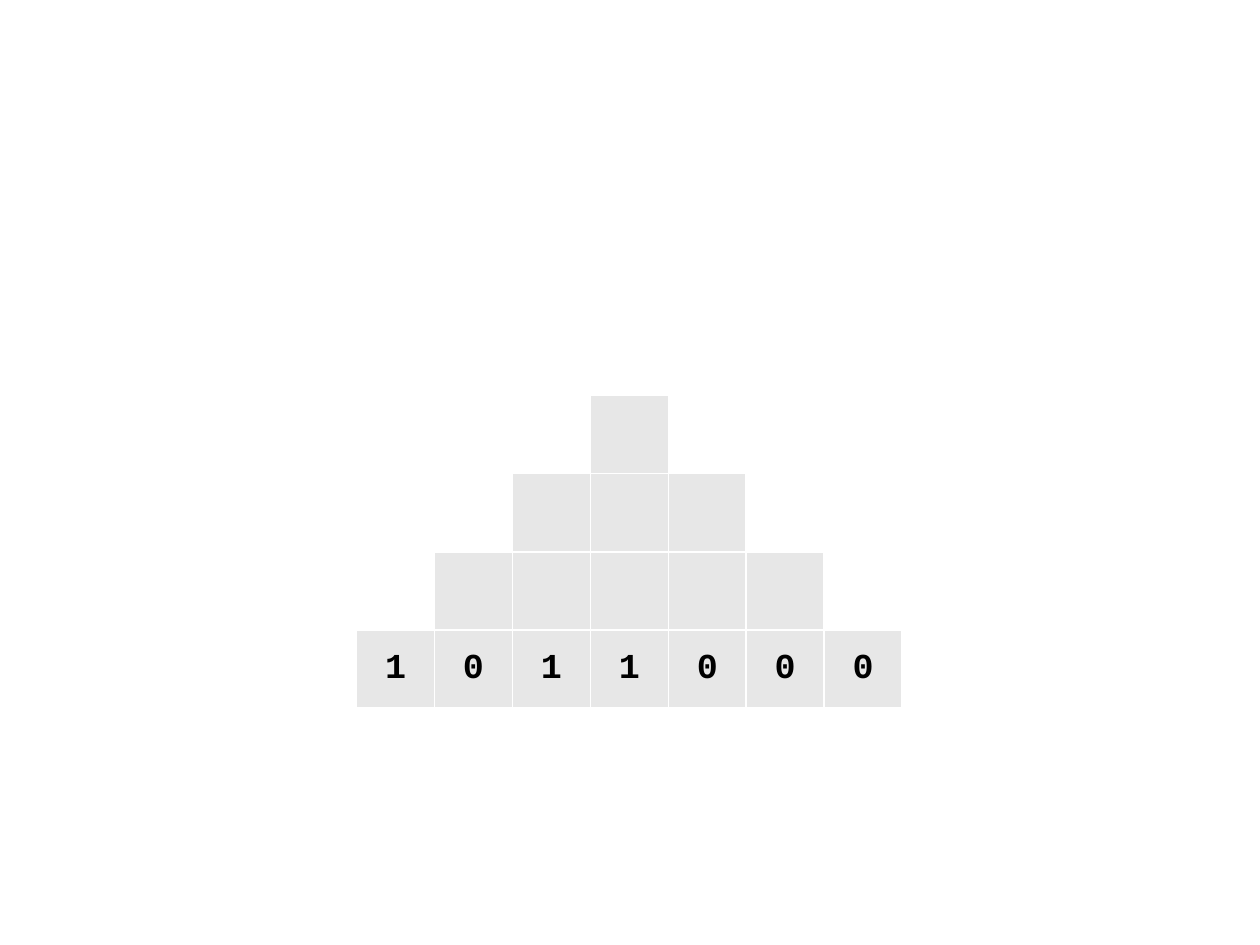
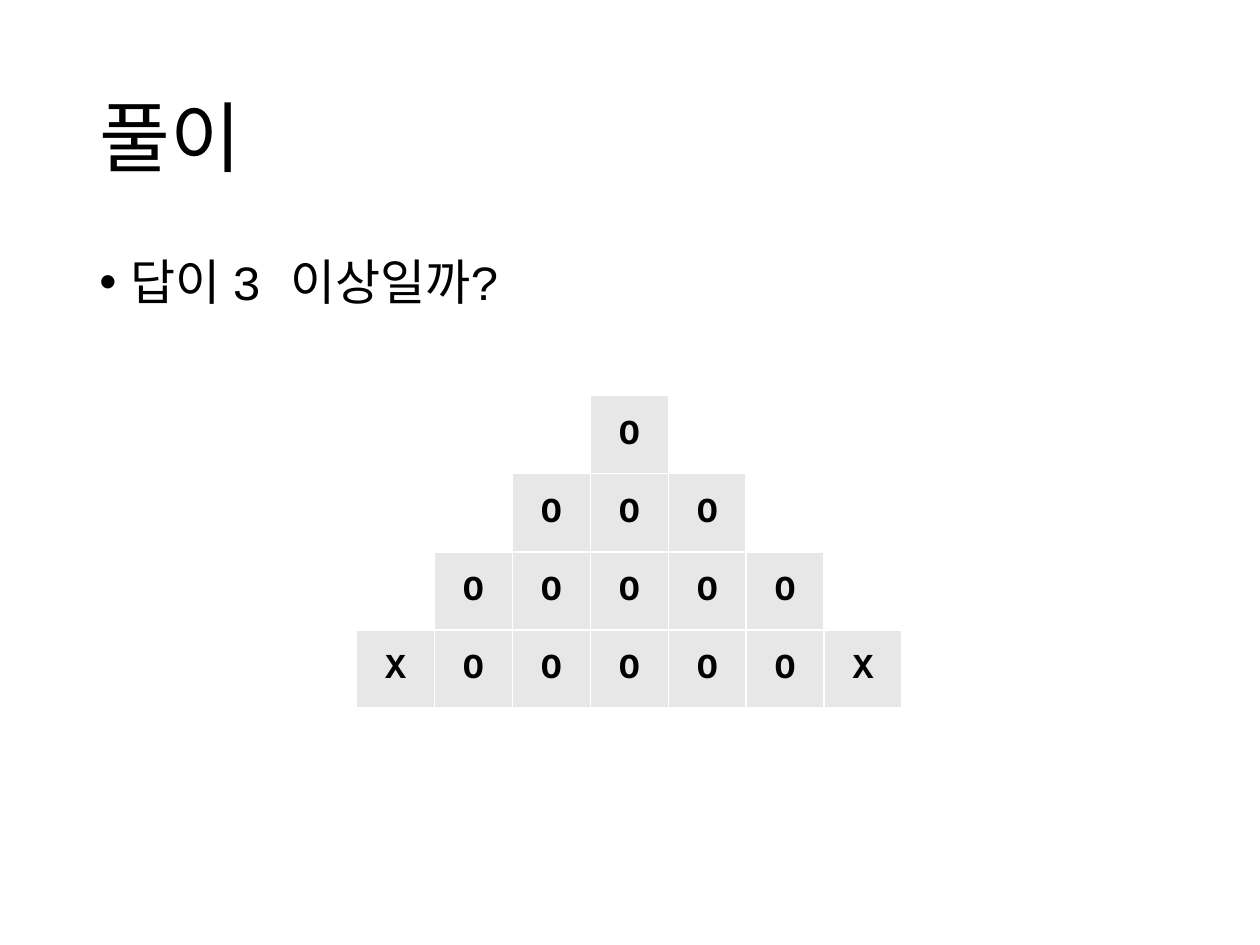
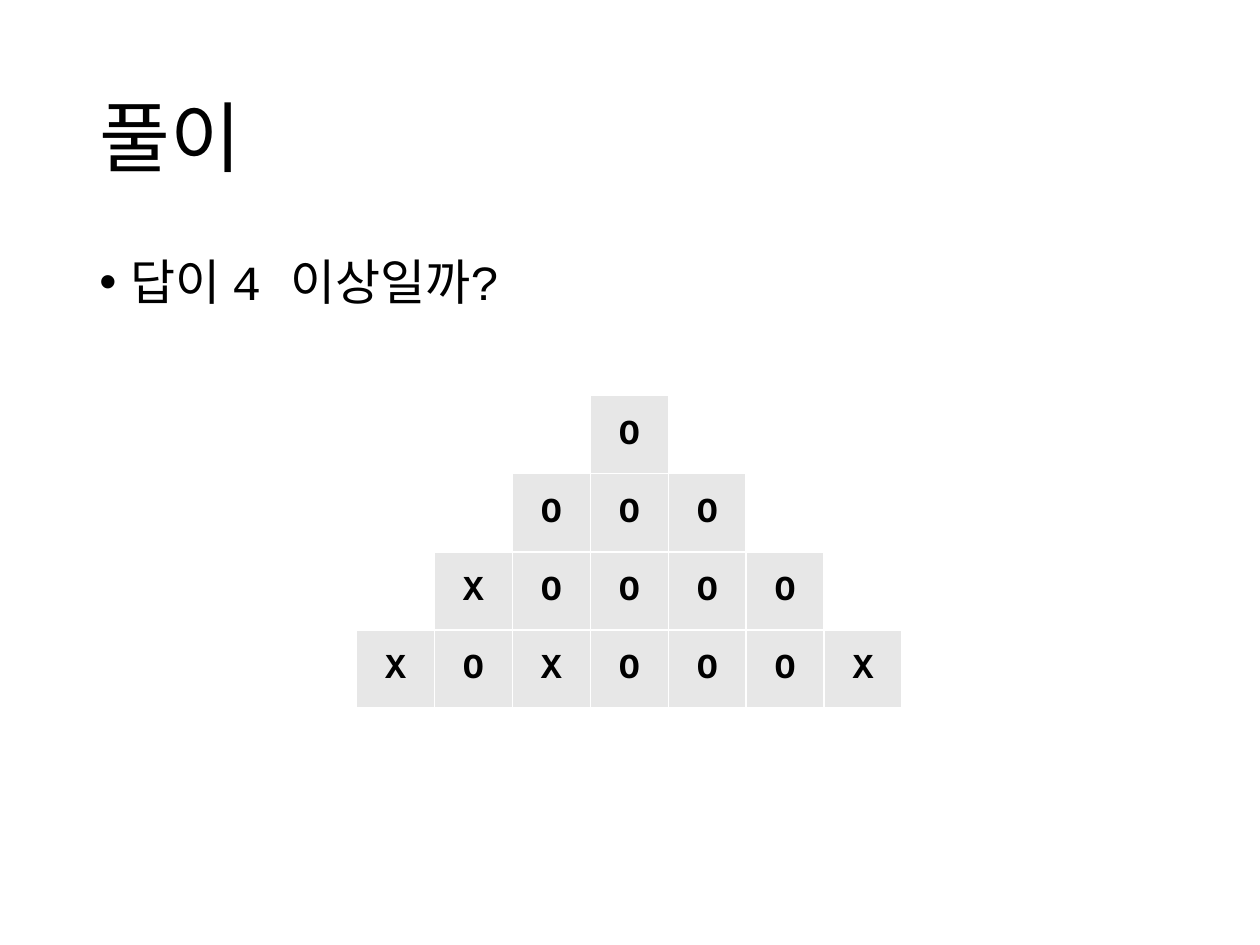
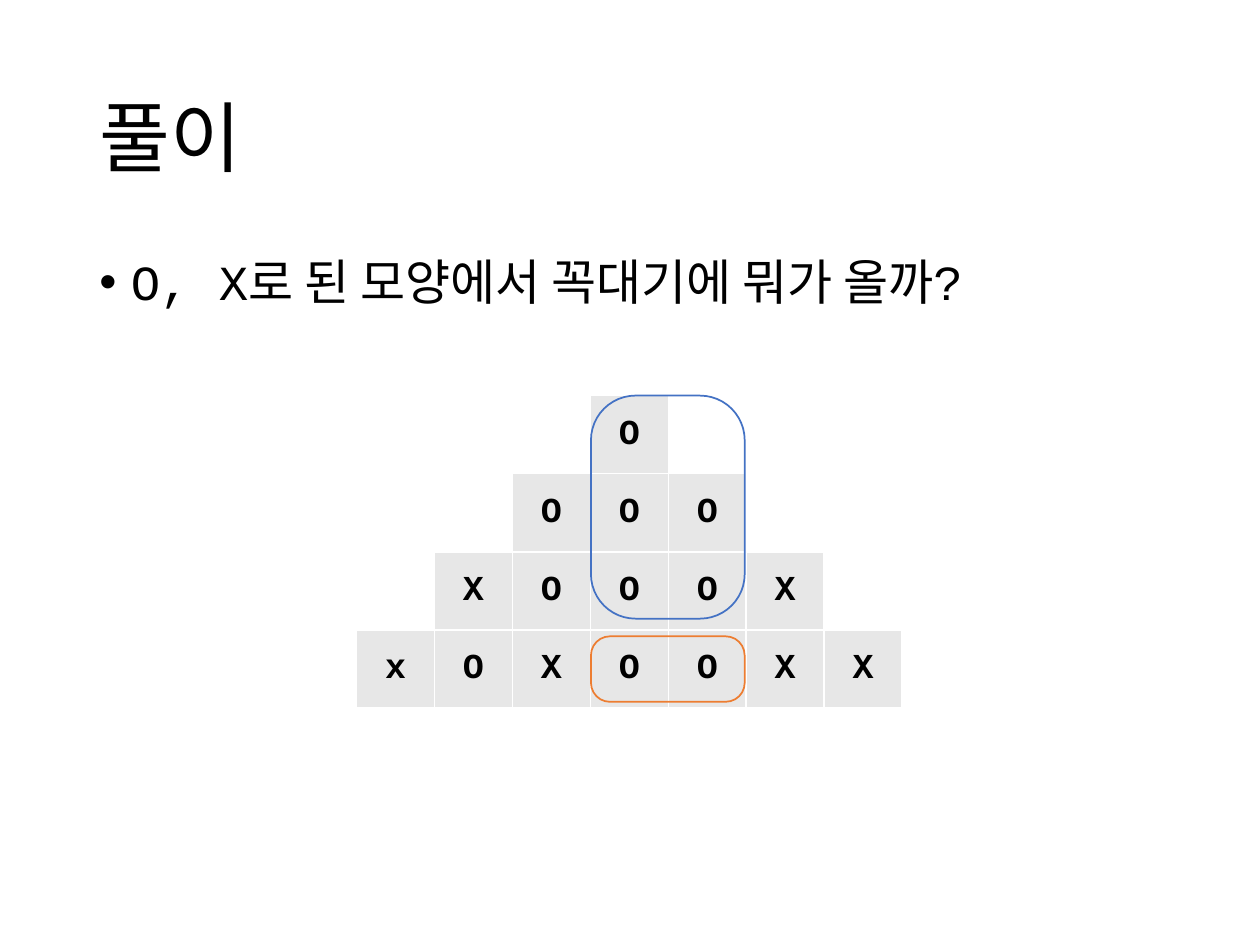
import dataclasses

import lxml.etree
import pptx
import pptx.dml.color
import pptx.enum.shapes
import pptx.enum.text
import pptx.oxml.ns
import pptx.util

Inches = pptx.util.Inches
Pt = pptx.util.Pt
RGBColor = pptx.dml.color.RGBColor
MSO_ANCHOR = pptx.enum.text.MSO_ANCHOR
qn = pptx.oxml.ns.qn


@dataclasses.dataclass(frozen=True)
class Theme:
    font: str = "Courier New"
    text: RGBColor = RGBColor.from_string("000000")
    block: RGBColor = RGBColor.from_string("E7E7E7")
    border: str = "FFFFFF"
    top_mark: RGBColor = RGBColor.from_string("4472C4")
    base_mark: RGBColor = RGBColor.from_string("ED7D31")
    title_size: int = 44
    body_size: int = 28
    cell_size: int = 20


theme = Theme()


def style_font(paragraph, size, bold=False):
    font = paragraph.font
    font.name = theme.font
    font.size = Pt(size)
    font.bold = bold
    font.color.rgb = theme.text


def add_text(slide, text, top, height, anchor):
    box = slide.shapes.add_textbox(Inches(0.69), Inches(top), Inches(8.62), Inches(height))
    box.text_frame.word_wrap = True
    box.text_frame.vertical_anchor = anchor
    paragraph = box.text_frame.paragraphs[0]
    paragraph.text = text
    paragraph.line_spacing = 0.9
    return paragraph


presentation = pptx.Presentation()
presentation.slide_width = Inches(10)
presentation.slide_height = Inches(7.5)

row_count = 4
column_count = 7
pyramid_left = 2.83
pyramid_top = 3.14
pyramid_width = 4.33
pyramid_height = 2.48

pages = [
    (None, [" ", " " * 3, " " * 5, "1011000"]),
    ("답이 3 이상일까?", ["O", "OOO", "OOOOO", "XOOOOOX"]),
    ("답이 4 이상일까?", ["O", "OOO", "XOOOO", "XOXOOOX"]),
    ("O, X로 된 모양에서 꼭대기에 뭐가 올까?", ["O", "OOO", "XOOOX", "xOXOOXX"]),
]

for question, levels in pages:
    slide = presentation.slides.add_slide(presentation.slide_layouts[6])

    if question:
        title = add_text(slide, "풀이", 0.4, 1.45, MSO_ANCHOR.MIDDLE)
        style_font(title, theme.title_size)
        body = add_text(slide, question, 2, 4.76, MSO_ANCHOR.TOP)
        body.space_before = Pt(10)
        properties = body._p.get_or_add_pPr()
        properties.set("marL", str(Inches(0.25)))
        properties.set("indent", str(-Inches(0.25)))
        lxml.etree.SubElement(properties, qn("a:buFont"), typeface="Arial")
        lxml.etree.SubElement(properties, qn("a:buChar"), char="•")
        style_font(body, theme.body_size)

    table = slide.shapes.add_table(
        row_count, column_count, Inches(pyramid_left), Inches(pyramid_top),
        Inches(pyramid_width), Inches(pyramid_height),
    ).table
    table.first_row = False
    table.horz_banding = False
    for row, level in enumerate(levels):
        for column, mark in enumerate(level.center(column_count, ".")):
            cell = table.cell(row, column)
            if mark == ".":
                cell.fill.background()
            else:
                cell.fill.solid()
                cell.fill.fore_color.rgb = theme.block
            cell.vertical_anchor = MSO_ANCHOR.MIDDLE
            paragraph = cell.text_frame.paragraphs[0]
            paragraph.text = mark.strip(" .")
            paragraph.alignment = pptx.enum.text.PP_ALIGN.CENTER
            style_font(paragraph, theme.cell_size, bold=True)
            for position, side in enumerate(["a:lnL", "a:lnR", "a:lnT", "a:lnB"]):
                border = lxml.etree.Element(qn(side), w=str(Pt(1)))
                fill = lxml.etree.SubElement(border, qn("a:solidFill"))
                lxml.etree.SubElement(fill, qn("a:srgbClr"), val=theme.border)
                cell._tc.get_or_add_tcPr().insert(position, border)

for top, height, color in [(5.05, 0.52, theme.base_mark), (pyramid_top, 1.77, theme.top_mark)]:
    outline = slide.shapes.add_shape(
        pptx.enum.shapes.MSO_SHAPE.ROUNDED_RECTANGLE,
        Inches(4.69), Inches(top), Inches(1.22), Inches(height),
    )
    outline.adjustments[0] = 0.29
    outline.shadow.inherit = False
    outline.fill.background()
    outline.line.color.rgb = color
    outline.line.width = Pt(1)

presentation.save("out.pptx")
